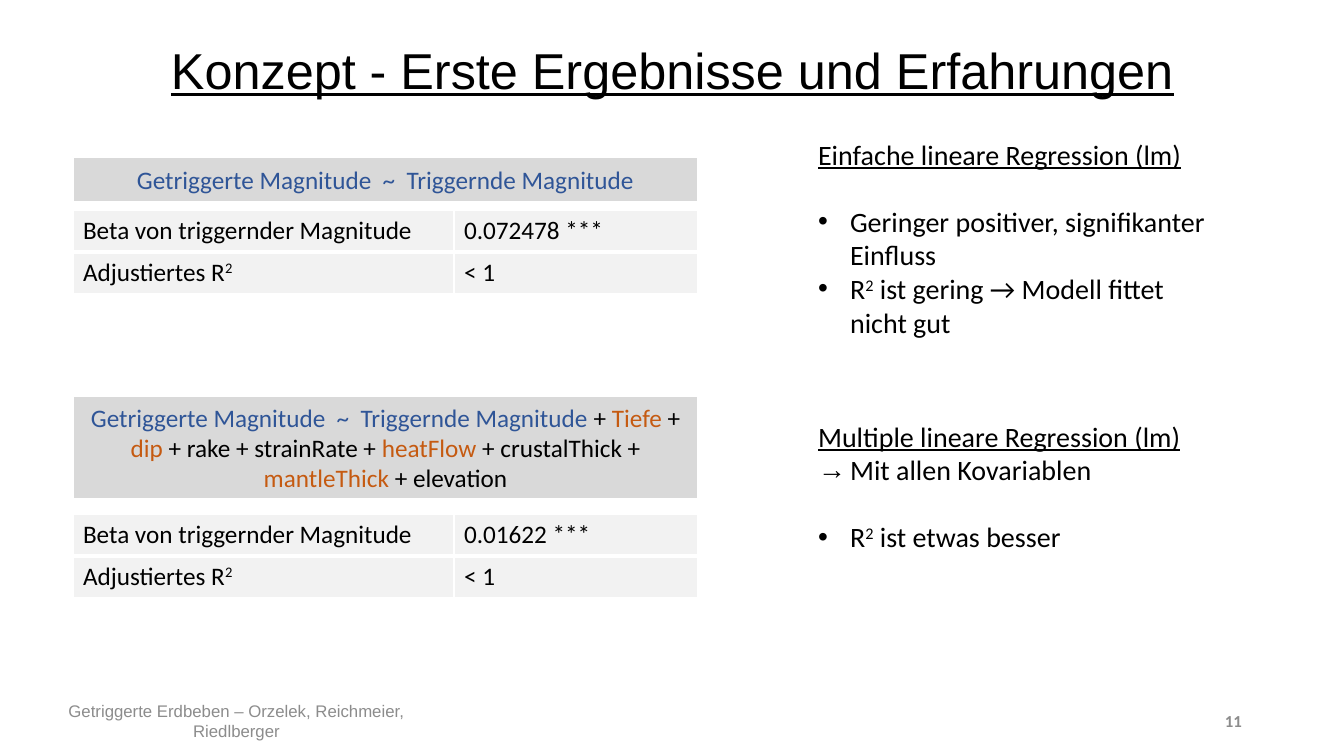
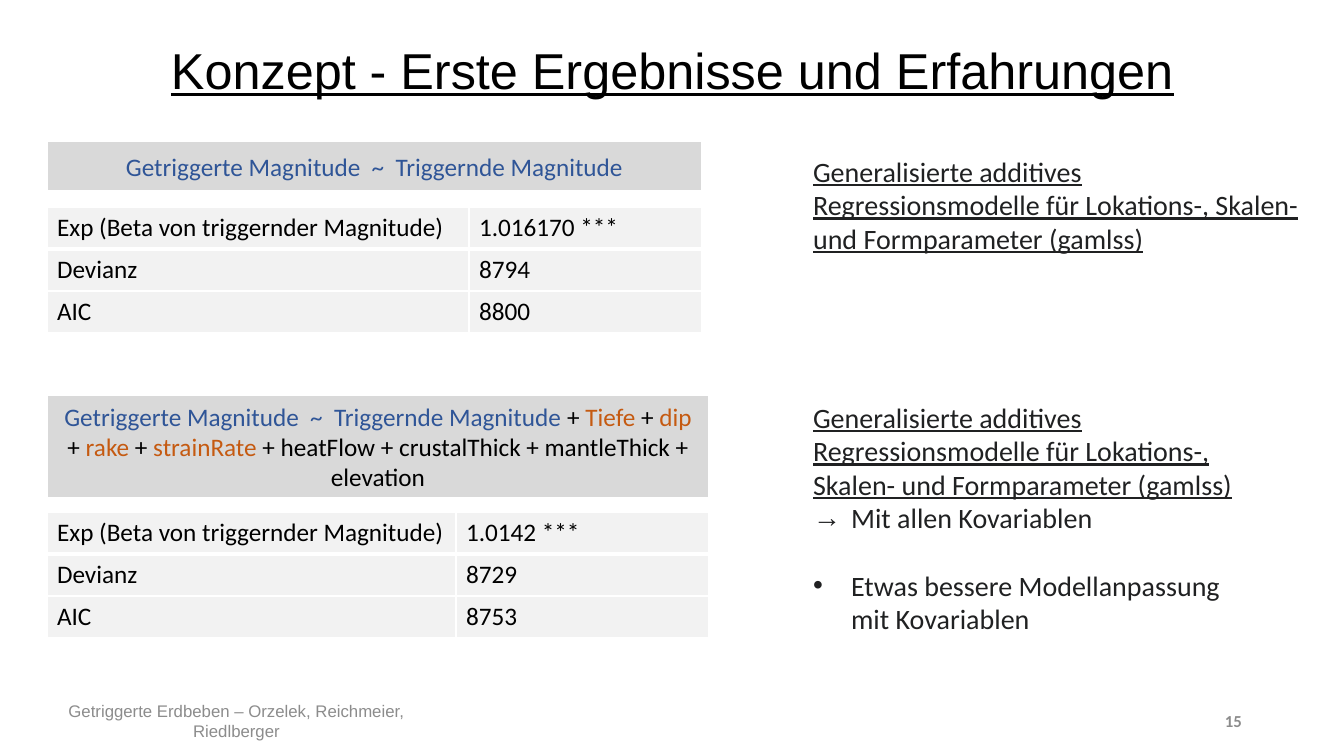
from dataclasses import dataclass
from lxml.etree import SubElement
from pptx import Presentation
from pptx.dml.color import RGBColor
from pptx.enum.shapes import MSO_SHAPE
from pptx.enum.text import MSO_ANCHOR, MSO_AUTO_SIZE, PP_ALIGN
from pptx.oxml.ns import qn
from pptx.slide import Slide
from pptx.text.text import TextFrame
from pptx.util import Emu, Pt


# Theme and scale
@dataclass(frozen=True)
class Theme:
    black: str = "000000"
    soft_black: str = "202122"
    blue: str = "2F5597"
    orange: str = "C55A11"
    grey: str = "8C8C8C"
    bar: str = "D9D9D9"
    cell: str = "F2F2F2"
    white: str = "FFFFFF"
    heading_font: str = "Arial"
    body_font: str = "Calibri"
    title_size: int = 36
    note_size: int = 20
    model_size: int = 18
    footer_size: int = 12


THEME = Theme()
EMU_PER_PIXEL = 914400 / 100.8
ROW_HEIGHT = 42


def px(pixels: int) -> Emu:
    return Emu(round(pixels * EMU_PER_PIXEL))


# Records
@dataclass(frozen=True)
class Box:
    left: int
    top: int
    width: int
    height: int

    def emu(self) -> tuple[Emu, ...]:
        return px(self.left), px(self.top), px(self.width), px(self.height)


@dataclass(frozen=True)
class Span:
    text: str
    color: str = THEME.black
    raised: bool = False


Line = tuple[Span, ...]


@dataclass(frozen=True)
class NoteLine:
    spans: Line
    bullet: str = ""
    gap_before: bool = False


@dataclass(frozen=True)
class Note:
    box: Box
    heading: str
    lines: tuple[NoteLine, ...] = ()


@dataclass(frozen=True)
class Model:
    bar: Box
    formula: Line
    table_top: int
    columns: tuple[int, int]
    rows: tuple[tuple[Line, str], ...]


@dataclass(frozen=True)
class Page:
    number: int
    note_color: str
    note_indent: int
    models: tuple[Model, Model]
    notes: tuple[Note, Note]


# Text helpers
def style_run(run, size: int, color: str, font: str = THEME.body_font,
              underline: bool = False, bold: bool = False) -> None:
    run.font.size = Pt(size)
    run.font.name = font
    run.font.color.rgb = RGBColor.from_string(color)
    run.font.underline = underline
    run.font.bold = bold


def write_spans(para, spans: Line, size: int, color: str = "") -> None:
    for span in spans:
        run = para.add_run()
        run.text = span.text
        style_run(run, size, color or span.color)
        if span.raised:
            run.font._element.set("baseline", "30000")


def set_bullet(para, character: str, indent: int) -> None:
    properties = para._p.get_or_add_pPr()
    hang = px(indent) if character else 0
    properties.set("marL", str(hang))
    properties.set("indent", str(-hang))
    if character:
        SubElement(properties, qn("a:buFont"), typeface=THEME.heading_font)
        SubElement(properties, qn("a:buChar"), char=character)
    else:
        SubElement(properties, qn("a:buNone"))


def place(shape, box: Box, anchor: MSO_ANCHOR) -> TextFrame:
    shape.left, shape.top, shape.width, shape.height = box.emu()
    frame = shape.text_frame
    frame.word_wrap = True
    frame.auto_size = MSO_AUTO_SIZE.NONE
    frame.vertical_anchor = anchor
    return frame


# Parts shared by all pages
TITLE = "Konzept - Erste Ergebnisse und Erfahrungen"
FOOTER = "Getriggerte Erdbeben – Orzelek, Reichmeier, Riedlberger"
TITLE_BOX = Box(93, 0, 1159, 146)
FOOTER_BOX = Box(13, 701, 447, 40)
NUMBER_BOX = Box(950, 701, 302, 40)


def draw_title(slide: Slide) -> None:
    frame = place(slide.shapes.title, TITLE_BOX, MSO_ANCHOR.MIDDLE)
    frame.text = TITLE
    para = frame.paragraphs[0]
    para.alignment = PP_ALIGN.CENTER
    para.line_spacing = 0.9
    style_run(para.runs[0], THEME.title_size, THEME.black, THEME.heading_font, underline=True)


def draw_footer_text(slide: Slide, box: Box, text: str, align: PP_ALIGN,
                     font: str, bold: bool = False) -> None:
    frame = place(slide.shapes.add_textbox(*box.emu()), box, MSO_ANCHOR.MIDDLE)
    frame.text = text
    para = frame.paragraphs[0]
    para.alignment = align
    style_run(para.runs[0], THEME.footer_size, THEME.grey, font, bold=bold)


# Model formula and result table
def draw_cell(cell, spans: Line, bottom_width: int) -> None:
    write_spans(cell.text_frame.paragraphs[0], spans, THEME.model_size)
    properties = cell._tc.get_or_add_tcPr()
    for side, width in (("L", 1), ("R", 1), ("T", 1), ("B", bottom_width)):
        border = SubElement(properties, qn(f"a:ln{side}"), w=str(Pt(width)))
        SubElement(SubElement(border, qn("a:solidFill")), qn("a:srgbClr"), val=THEME.white)
    cell.fill.solid()
    cell.fill.fore_color.rgb = RGBColor.from_string(THEME.cell)


def draw_model(slide: Slide, model: Model) -> None:
    bar = slide.shapes.add_shape(MSO_SHAPE.RECTANGLE, *model.bar.emu())
    bar.shadow.inherit = False
    bar.fill.solid()
    bar.fill.fore_color.rgb = RGBColor.from_string(THEME.bar)
    bar.line.color.rgb = RGBColor.from_string(THEME.white)
    bar.line.width = Pt(1)
    para = place(bar, model.bar, MSO_ANCHOR.MIDDLE).paragraphs[0]
    para.alignment = PP_ALIGN.CENTER
    write_spans(para, model.formula, THEME.model_size)

    box = Box(model.bar.left, model.table_top, sum(model.columns), ROW_HEIGHT * len(model.rows))
    table = slide.shapes.add_table(len(model.rows), 2, *box.emu()).table
    table.first_row = table.horz_banding = False
    for column, width in zip(table.columns, model.columns):
        column.width = px(width)
    for index, (label, value) in enumerate(model.rows):
        bottom_width = 3 if index == 0 else 1
        for column, spans in enumerate((label, (Span(value),))):
            draw_cell(table.cell(index, column), spans, bottom_width)


# Comments beside the models
def draw_note(placeholder, note: Note, color: str, indent: int) -> None:
    frame = place(placeholder, note.box, MSO_ANCHOR.TOP)
    frame.text = note.heading
    heading = frame.paragraphs[0]
    heading.space_before = Pt(0)
    set_bullet(heading, "", 0)
    style_run(heading.runs[0], THEME.note_size, color, underline=True)
    for line in note.lines:
        para = frame.add_paragraph()
        para.space_before = Pt(24 if line.gap_before else 0)
        set_bullet(para, line.bullet, indent)
        write_spans(para, line.spans, THEME.note_size, color)


def draw_page(deck, page: Page) -> None:
    slide = deck.slides.add_slide(deck.slide_layouts.get_by_name("Two Content"))
    draw_title(slide)
    draw_footer_text(slide, FOOTER_BOX, FOOTER, PP_ALIGN.CENTER, THEME.heading_font)
    draw_footer_text(slide, NUMBER_BOX, str(page.number), PP_ALIGN.RIGHT, THEME.body_font, True)
    for placeholder_index, note in enumerate(page.notes, start=1):
        draw_note(slide.placeholders[placeholder_index], note, page.note_color, page.note_indent)
    for model in page.models:
        draw_model(slide, model)


# Content
COVARIATES = ("Tiefe", "dip", "rake", "strainRate", "heatFlow",
              "crustalThick", "mantleThick", "elevation")
SIMPLE_FORMULA = (Span("Getriggerte Magnitude  ~  Triggernde Magnitude", THEME.blue),)
SQUARED = Span("2", raised=True)
ALL_COVARIATES = NoteLine((Span("Mit allen Kovariablen"),), "→")
GAMLSS = ("Generalisierte additives Regressionsmodelle für Lokations-, "
          "Skalen- und Formparameter (gamlss)")


def full_formula(*highlighted: str) -> Line:
    spans = list(SIMPLE_FORMULA)
    for name in COVARIATES:
        color = THEME.orange if name in highlighted else THEME.black
        spans += [Span(" + "), Span(name, color)]
    return tuple(spans)


def linear_rows(beta: str) -> tuple[tuple[Line, str], ...]:
    return (((Span("Beta von triggernder Magnitude"),), beta),
            ((Span("Adjustiertes R"), SQUARED), "< 1"))


def gamlss_rows(beta: str, deviance: str, aic: str) -> tuple[tuple[Line, str], ...]:
    return (((Span("Exp (Beta von triggernder Magnitude)"),), beta),
            ((Span("Devianz"),), deviance),
            ((Span("AIC"),), aic))


PAGES = (
    Page(11, THEME.black, 32,
         models=(
             Model(Box(73, 157, 625, 45), SIMPLE_FORMULA, 210, (381, 244),
                   linear_rows("0.072478 ***")),
             Model(Box(73, 396, 625, 103), full_formula("Tiefe", "dip", "heatFlow", "mantleThick"),
                   514, (381, 244), linear_rows("0.01622 ***"))),
         notes=(
             Note(Box(808, 132, 421, 305), "Einfache lineare Regression (lm)", (
                 NoteLine((Span("Geringer positiver, signifikanter Einfluss"),), "•", True),
                 NoteLine((Span("R"), SQUARED,
                           Span(" ist gering → Modell fittet nicht gut")), "•"))),
             Note(Box(808, 414, 410, 211), "Multiple lineare Regression (lm)", (
                 ALL_COVARIATES,
                 NoteLine((Span("R"), SQUARED, Span(" ist etwas besser")), "•", True))))),
    Page(15, THEME.soft_black, 38,
         models=(
             Model(Box(47, 141, 655, 50), SIMPLE_FORMULA, 207, (422, 233),
                   gamlss_rows("1.016170 ***", "8794", "8800")),
             Model(Box(47, 395, 662, 103), full_formula("Tiefe", "dip", "rake", "strainRate"),
                   512, (409, 253), gamlss_rows("1.0142 ***", "8729", "8753"))),
         notes=(
             Note(Box(803, 149, 522, 179), GAMLSS),
             Note(Box(803, 395, 463, 248), GAMLSS, (
                 ALL_COVARIATES,
                 NoteLine((Span("Etwas bessere Modellanpassung mit Kovariablen"),), "•", True))))),
)


def main() -> None:
    deck = Presentation()
    deck.slide_width, deck.slide_height = px(1344), px(756)
    for page in PAGES:
        draw_page(deck, page)
    deck.save("out.pptx")


main()
